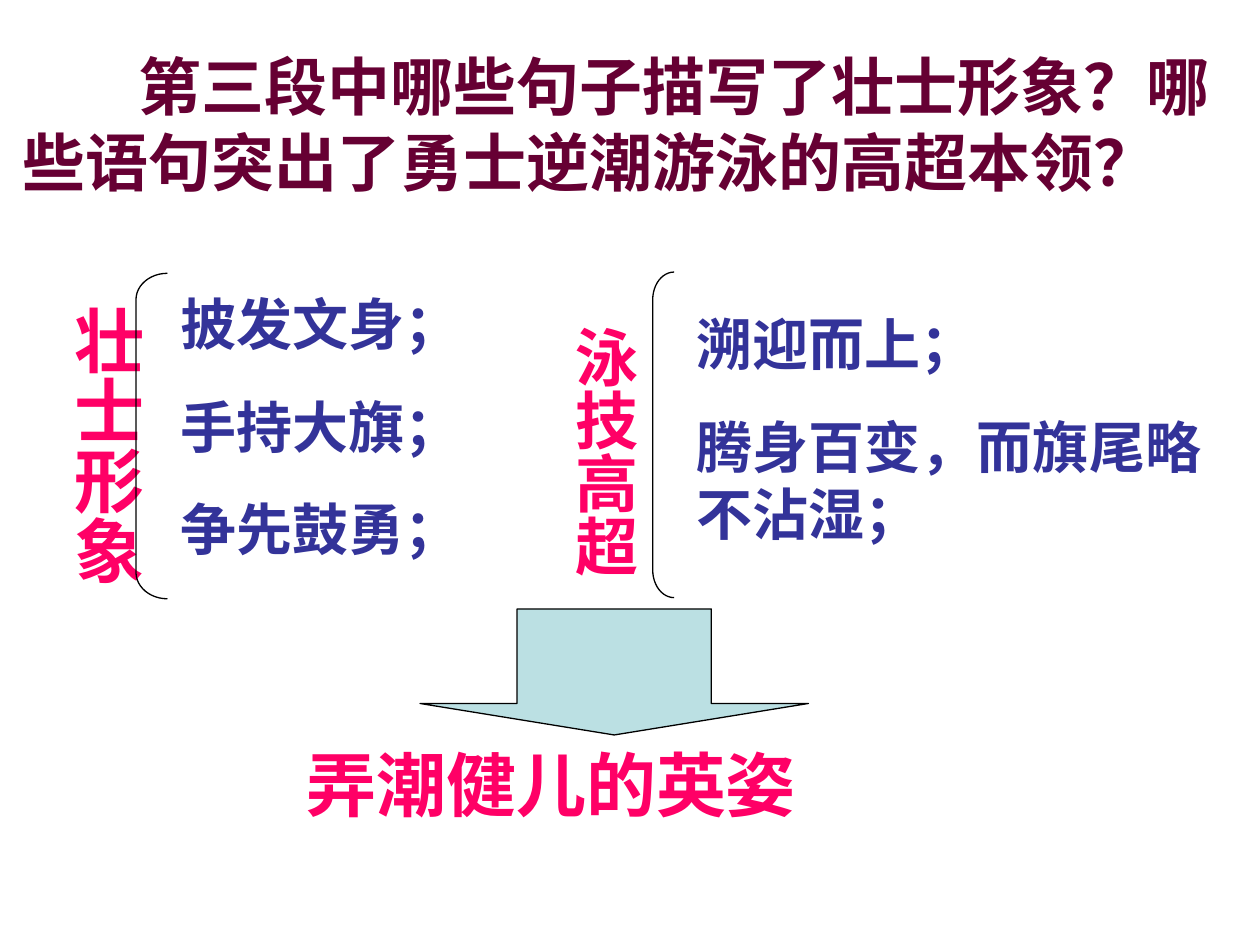
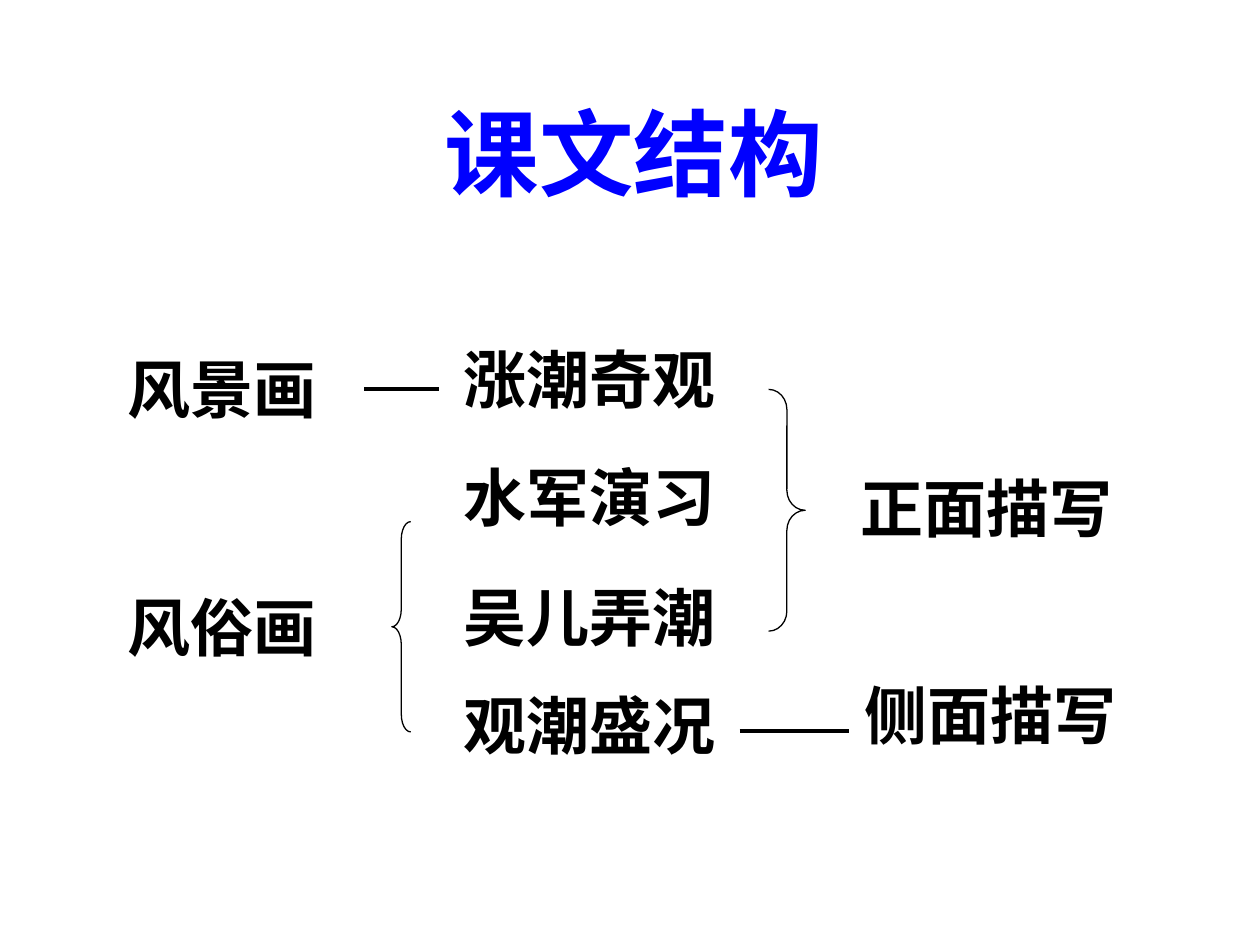
import pptx
import pptx.dml.color
import pptx.enum.shapes
import pptx.enum.text
import pptx.oxml.ns
import pptx.util
from lxml import etree

Pt = pptx.util.Pt
SHAPES = pptx.enum.shapes.MSO_SHAPE
ALIGN = pptx.enum.text.PP_ALIGN
COLORS = {
    "question": "660033",
    "accent": "FF0066",
    "list": "333399",
    "title": "0000FF",
    "ink": "000000",
    "arrow": "BBE0E3",
}
LATIN_FONT = "Times New Roman"
CHINESE_FONT = "Noto Sans CJK SC"


def rgb(name):
    """Return the named colour."""
    return pptx.dml.color.RGBColor.from_string(COLORS[name])


def add_child(parent, tag, **attributes):
    """Append a DrawingML element."""
    return etree.SubElement(parent, pptx.oxml.ns.qn(tag), attributes)


def offset(box, part):
    """Move a part's box by the corner of its region."""
    return box[0] + part[0], box[1] + part[1], part[2], part[3]


def place(shape, box):
    """Give a shape its position and size."""
    shape.left, shape.top, shape.width, shape.height = map(Pt, box)


def write(shape, text, size, color, font=LATIN_FONT, align=ALIGN.LEFT, space=0):
    """Fill a shape with bold text, one paragraph per line."""
    frame = shape.text_frame
    frame.text = text
    frame.word_wrap = True
    frame.auto_size = pptx.enum.text.MSO_AUTO_SIZE.NONE
    frame.vertical_anchor = pptx.enum.text.MSO_ANCHOR.TOP
    for paragraph in frame.paragraphs:
        paragraph.alignment = align
        paragraph.space_before = Pt(space)
        for run in paragraph.runs:
            run.font.size = Pt(size)
            run.font.bold = True
            run.font.color.rgb = rgb(color)
            run.font.name = font
            add_child(run.font._element, "a:ea", typeface=CHINESE_FONT)


def add_title(slide, box, text, size, color, indent=0):
    """Place and format the slide title."""
    title = slide.shapes.title
    place(title, box)
    write(title, text, size, color)
    properties = title.text_frame.paragraphs[0]._p.get_or_add_pPr()
    properties.set("indent", str(Pt(indent)))


def add_label(slide, box, text, size, color, vertical=False):
    """Add a text box, optionally with vertical writing."""
    label = slide.shapes.add_textbox(*map(Pt, box))
    write(label, text, size, color, align=ALIGN.CENTER if vertical else ALIGN.LEFT)
    if vertical:
        frame = label.text_frame
        frame._txBody.bodyPr.set("vert", "eaVert")
        frame.margin_left = frame.margin_right = Pt(3.6)
        frame.margin_top = frame.margin_bottom = Pt(7.2)


def add_outline(slide, kind, box, adjustments, fill=None):
    """Add a thinly outlined preset shape."""
    shape = slide.shapes.add_shape(kind, *map(Pt, box))
    shape.shadow.inherit = False
    for index, value in enumerate(adjustments):
        shape.adjustments[index] = value
    if fill:
        shape.fill.solid()
        shape.fill.fore_color.rgb = rgb(fill)
    else:
        shape.fill.background()
    shape.line.color.rgb = rgb("ink")
    shape.line.width = Pt(0.75)


def add_dash(slide, left, right, top):
    """Add a horizontal linking line."""
    line = slide.shapes.add_connector(
        pptx.enum.shapes.MSO_CONNECTOR.STRAIGHT, Pt(left), Pt(top), Pt(right), Pt(top))
    line.line.color.rgb = rgb("ink")
    line.line.width = Pt(2.25)
    add_child(line._element.spPr, "a:effectLst")


def add_list(placeholder, box, items):
    """Turn a body placeholder into a list without bullets."""
    place(placeholder, box)
    write(placeholder, "\n".join(items), 32, "list", font=CHINESE_FONT, space=20)
    for paragraph in placeholder.text_frame.paragraphs:
        properties = paragraph._p.get_or_add_pPr()
        properties.set("marL", "0")
        properties.set("indent", "0")
        add_child(properties, "a:buNone")


def bracketed_group(slide, box, heading, size, label, bracket, curve, placeholder, listing, items):
    """Build a vertical heading, a bracket and the list it holds."""
    add_label(slide, offset(box, label), heading, size, "accent", vertical=True)
    add_outline(slide, SHAPES.LEFT_BRACKET, offset(box, bracket), [curve])
    add_list(slide.placeholders[placeholder], offset(box, listing), items)


def conclusion(slide, box):
    """Build the down arrow and the conclusion below it."""
    add_outline(slide, SHAPES.DOWN_ARROW, offset(box, (72, 0, 222, 72)), [0.5, 0.25], "arrow")
    add_label(slide, offset(box, (0, 72, 336, 55.5)), "弄潮健儿的英姿", 40, "accent")


def structure_map(slide, box):
    """Build the three linked columns of the text structure."""
    columns = (
        (0, 193, (("风景画", 5.8), ("风俗画", 141.8))),
        (192.3, 215, (("涨潮奇观", 0), ("水军演习", 67.7), ("吴儿弄潮", 136), ("观潮盛况", 198))),
        (419.1, 204, (("正面描写", 74.2),)),
        (421.2, 196, (("侧面描写", 192.2),)),
    )
    for left, width, entries in columns:
        for text, top in entries:
            add_label(slide, offset(box, (left, top, width, 50.4)), text, 36, "ink")
    add_outline(slide, SHAPES.RIGHT_BRACE, offset(box, (373.7, 31.7, 20.9, 138.2)), [0.55, 0.5])
    add_outline(slide, SHAPES.LEFT_BRACE, offset(box, (158.4, 107.3, 10.8, 120.2)), [0.93, 0.5])
    for start, end, top in ((142.6, 185.1, 31.3), (357.1, 419.8, 226.8)):
        add_dash(slide, box[0] + start, box[0] + end, box[1] + top)


def question_slide(presentation):
    """Build the slide about the swimmers."""
    slide = presentation.slides.add_slide(presentation.slide_layouts[3])
    add_title(slide, (5.8, 23.8, 725.8, 93.6),
              "第三段中哪些句子描写了壮士形象？哪些语句突出了勇士逆潮游泳的高超本领？",
              36, "question", indent=66)
    bracketed_group(slide, (26.6, 155.5, 282, 260), "壮士形象", 40,
                    label=(0, 12.3, 62, 246), bracket=(51.1, 0.7, 18, 186), curve=0.84,
                    placeholder=1, listing=(69.1, 6.5, 213, 163),
                    items=("披发文身；", "手持大旗；", "争先鼓勇；"))
    bracketed_group(slide, (313.2, 155.5, 407, 210), "泳技高超", 36,
                    label=(0, 23.8, 57.6, 186), bracket=(59.8, 0, 12.2, 186), curve=1.29,
                    placeholder=2, listing=(77.8, 18, 329, 142.6),
                    items=("溯迎而上；", "腾身百变，而旗尾略不沾湿；"))
    conclusion(slide, (168, 348, 336, 127.5))


def structure_slide(presentation):
    """Build the slide about the text structure."""
    slide = presentation.slides.add_slide(presentation.slide_layouts[5])
    add_title(slide, (247, 50.4, 396.7, 72), "课文结构", 54, "title")
    structure_map(slide, (65.5, 190.8, 618, 250))


def main():
    """Build and save the presentation."""
    presentation = pptx.Presentation()
    presentation.slide_width, presentation.slide_height = Pt(720), Pt(540)
    question_slide(presentation)
    structure_slide(presentation)
    presentation.save("out.pptx")


if __name__ == "__main__":
    main()
